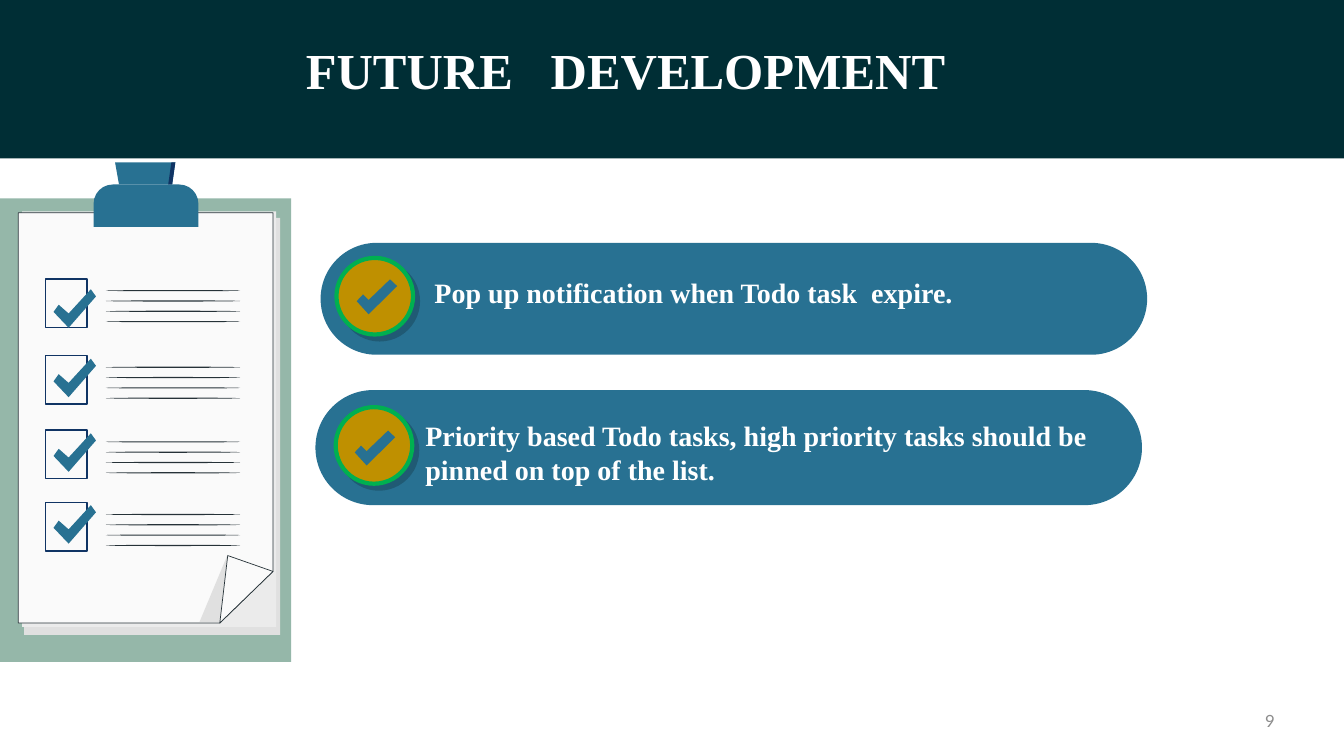
from lxml.etree import SubElement
from pptx import Presentation
from pptx.dml.color import RGBColor
from pptx.enum.shapes import MSO_SHAPE
from pptx.enum.text import MSO_ANCHOR, PP_ALIGN
from pptx.oxml.ns import qn
from pptx.util import Cm, Pt

DARK_TEAL, BLUE, NAVY, INK = "002E35", "287192", "103464", "263238"
WHITE, PAPER = "FFFFFF", "FAFAFA"
SERIF = "Times New Roman"

# Outlines of the two tick marks, from their own top left corner, in cm
SHEET_TICK = [(0, 0.57), (0.13, 0.39), (0.38, 0.61), (0.94, 0), (1.07, 0.18), (0.38, 0.97)]
BADGE_TICK = [(0, 0.55), (0.16, 0.38), (0.3, 0.52), (0.84, 0), (1.02, 0.17), (0.3, 0.88)]

# Top of each checkbox and of its tick
CHECK_ROWS = [(7.01, 7.29), (8.94, 9.04), (10.82, 10.92), (12.65, 12.73)]

# Pill, badge, tick and wording of each planned feature
FEATURES = [
    ((8.08, 6.12, 20.83, 2.82), (8.48, 6.5), (8.99, 7.04), (10.95, 6.55, 17.27, 1.24),
     "Pop up notification when Todo task  expire."),
    ((7.95, 9.83, 20.83, 2.9), (8.46, 10.26), (8.94, 10.85), (10.72, 10.39, 17.02, 1.85),
     "Priority based Todo tasks, high priority tasks should be pinned on top of the list."),
]


def rgb(color):
    return RGBColor.from_string(color)


def paint(shape, fill=None, line=None, width=0.5):
    shape.shadow.inherit = False
    if fill:
        shape.fill.solid()
        shape.fill.fore_color.rgb = rgb(fill)
    else:
        shape.fill.background()
    if line:
        shape.line.color.rgb = rgb(line)
        shape.line.width = Pt(width)
    else:
        shape.line.fill.background()
    return shape


def add_preset(shapes, preset, box, fill=None, line=None, width=0.5):
    shape = shapes.add_shape(preset, *(Cm(length) for length in box))
    return paint(shape, fill, line, width)


def add_outline(shapes, points, fill, line=None, origin=(0, 0)):
    corners = [(Cm(origin[0] + x), Cm(origin[1] + y)) for x, y in points]
    builder = shapes.build_freeform(*corners[0])
    builder.add_line_segments(corners[1:], close=True)
    return paint(builder.convert_to_shape(), fill, line)


def add_run(paragraph, words, size, font, color, bold=False):
    run = paragraph.add_run()
    run.text = words
    run.font.size, run.font.name, run.font.bold = Pt(size), font, bold
    run.font.color.rgb = rgb(color)


def add_text(shapes, box, anchor):
    frame = shapes.add_textbox(*(Cm(length) for length in box)).text_frame
    frame.word_wrap = True
    frame.vertical_anchor = anchor
    return frame


def drop_shadow(shape):
    effects = shape._element.spPr.find(qn("a:effectLst"))
    shadow = SubElement(effects, qn("a:outerShdw"), blurRad="0", dist=str(Pt(5)),
                        dir="2700000", algn="tl", rotWithShape="0")
    color = SubElement(shadow, qn("a:srgbClr"), val="000000")
    SubElement(color, qn("a:alpha"), val="20000")


def add_header(slide):
    band = add_preset(slide.shapes, MSO_SHAPE.RECTANGLE, (0, 0, 33.87, 3.99), DARK_TEAL)
    title = slide.shapes.title
    title._element.addprevious(band._element)
    title.left, title.top, title.width, title.height = Cm(0.3), Cm(0.51), Cm(30.94), Cm(2.69)
    title.text_frame.vertical_anchor = MSO_ANCHOR.MIDDLE
    heading = title.text_frame.paragraphs[0]
    heading.alignment, heading.line_spacing = PP_ALIGN.CENTER, 0.9
    add_run(heading, "FUTURE   DEVELOPMENT", 36, SERIF, WHITE, bold=True)


def add_check_row(shapes, box_top, tick_top):
    add_preset(shapes, MSO_SHAPE.RECTANGLE, (1.14, box_top + 0.02, 1.05, 1.22), line=NAVY, width=1)
    for number in range(4):
        add_preset(shapes, MSO_SHAPE.OVAL, (2.67, box_top + 0.3 + 0.26 * number, 3.38, 0.03), INK)
    add_outline(shapes, SHEET_TICK, BLUE, origin=(1.35, tick_top))


def add_clipboard(slide):
    shapes = slide.shapes.add_group_shape().shapes
    add_preset(shapes, MSO_SHAPE.RECTANGLE, (0, 5, 7.34, 11.68), "95B7A9")
    add_preset(shapes, MSO_SHAPE.RECTANGLE, (0.61, 5.49, 6.45, 10.51), "E0E0E0")
    add_preset(shapes, MSO_SHAPE.RECTANGLE, (0.56, 5.33, 6.4, 10.47), "EBEBEB")
    add_outline(shapes, [(0.46, 5.36), (6.88, 5.36), (6.88, 14.4), (5.54, 15.7), (0.46, 15.7)],
                PAPER, INK)
    for box_top, tick_top in CHECK_ROWS:
        add_check_row(shapes, box_top, tick_top)
    # Folded corner of the sheet
    add_outline(shapes, [(5.74, 13.97), (5.03, 15.67), (5.54, 15.67)], "E0E0E0")
    add_outline(shapes, [(5.54, 15.7), (5.74, 14), (6.88, 14.4)], PAPER, INK)
    # Clip
    clip = add_preset(shapes, MSO_SHAPE.ROUND_2_SAME_RECTANGLE, (2.36, 4.65, 2.64, 1.07), BLUE)
    clip.adjustments[0] = 0.45
    add_outline(shapes, [(3, 4.65), (2.9, 4.09), (4.42, 4.09), (4.34, 4.65)], BLUE)
    add_outline(shapes, [(4.42, 4.09), (4.32, 4.09), (4.24, 4.65), (4.34, 4.65)], NAVY)


def add_feature(slide, pill_box, badge_corner, tick_corner, text_box, words):
    shapes = slide.shapes
    pill = add_preset(shapes, MSO_SHAPE.ROUNDED_RECTANGLE, pill_box, BLUE)
    pill.adjustments[0] = 0.5
    badge = add_preset(shapes, MSO_SHAPE.OVAL, (*badge_corner, 1.93, 1.93), "BF9000", "00B050", 3)
    drop_shadow(badge)
    add_outline(shapes, BADGE_TICK, BLUE, origin=tick_corner)
    frame = add_text(shapes, text_box, MSO_ANCHOR.BOTTOM)
    frame.margin_left = frame.margin_right = frame.margin_top = frame.margin_bottom = 0
    add_run(frame.paragraphs[0], words, 20, SERIF, WHITE, bold=True)


def add_page_number(slide):
    frame = add_text(slide.shapes, (31.24, 17.65, 1.14, 1.02), MSO_ANCHOR.MIDDLE)
    frame.paragraphs[0].alignment = PP_ALIGN.RIGHT
    add_run(frame.paragraphs[0], "9", 12, "Lato", "8C8C8C")


def main():
    deck = Presentation()
    deck.slide_width, deck.slide_height = Cm(33.87), Cm(19.05)
    slide = deck.slides.add_slide(deck.slide_layouts.get_by_name("Title Only"))
    add_header(slide)
    add_page_number(slide)
    add_clipboard(slide)
    for feature in FEATURES:
        add_feature(slide, *feature)
    deck.save("out.pptx")


if __name__ == "__main__":
    main()
